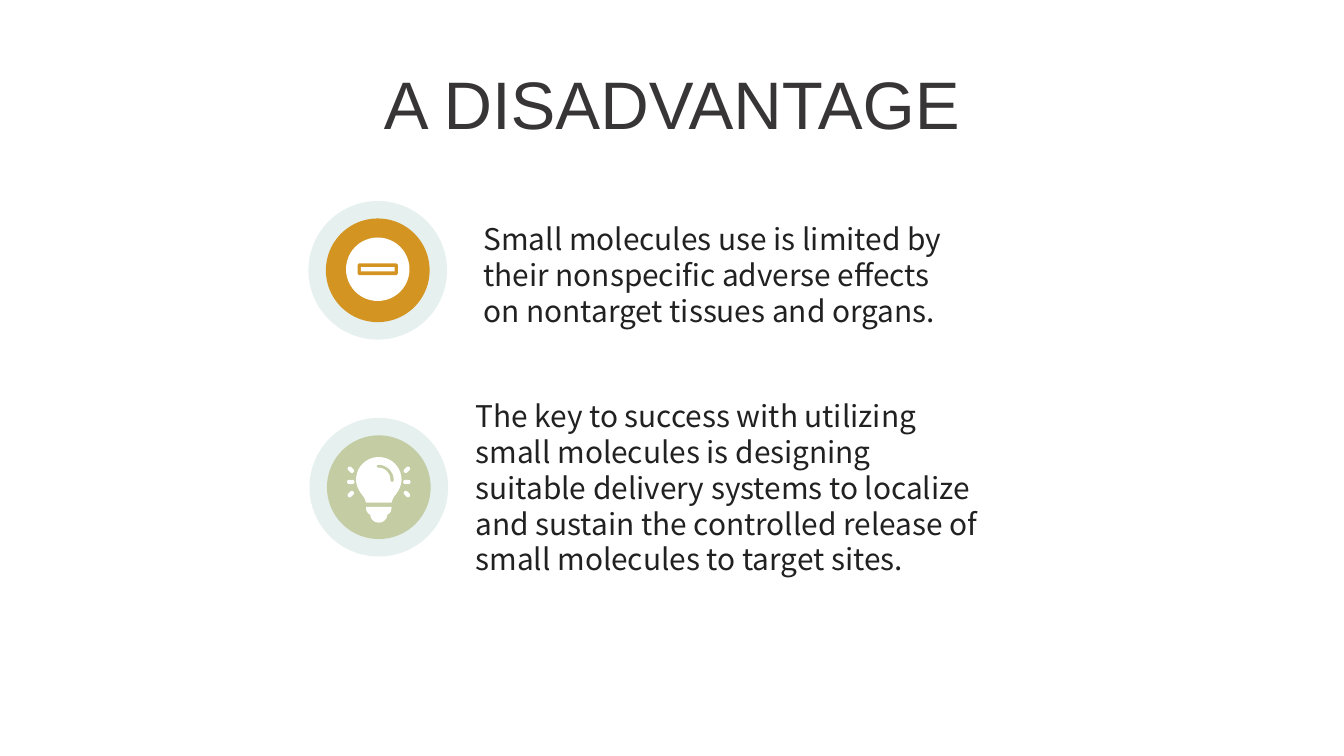
from dataclasses import dataclass

import pptx
import pptx.dml.color
import pptx.enum.shapes
import pptx.enum.text
import pptx.util

Cm = pptx.util.Cm
Pt = pptx.util.Pt
RGBColor = pptx.dml.color.RGBColor
Kind = pptx.enum.shapes.MSO_SHAPE
Align = pptx.enum.text.PP_ALIGN
Anchor = pptx.enum.text.MSO_ANCHOR

WHITE = RGBColor(0xFF, 0xFF, 0xFF)
MIST = RGBColor(0xE6, 0xF0, 0xEF)
AMBER = RGBColor(0xD4, 0x94, 0x21)
SAGE = RGBColor(0xC3, 0xCC, 0xA2)
SLATE = RGBColor(0x38, 0x35, 0x36)
INK = RGBColor(0x21, 0x21, 0x21)

# Outlines in cm from the icon centre; each curve is two handles and an end
BULB = [((.24, -.57), (.43, -.38), (.43, -.14)),
        ((.43, -.04), (.38, .06), (.32, .14)),
        ((.27, .19), (.26, .24), (.24, .29))]
BASE = [((.24, .45), (.21, .5), (.16, .52)),
        ((.16, .6), (.09, .67), (0, .67))]
GLINT = [((.15, -.42), (.28, -.29), (.28, -.14)),
         ((.28, -.09), (.22, -.09), (.22, -.14)),
         ((.22, -.27), (.12, -.37), (0, -.37)),
         ((-.05, -.37), (-.05, -.42), (0, -.42))]


@dataclass
class Badge:
    x: float
    y: float
    color: RGBColor


@dataclass
class Note:
    left: float
    top: float
    width: float
    height: float
    text: str


BADGES = [Badge(7.14, 5.11, AMBER), Badge(7.16, 9.21, SAGE)]
NOTES = [
    Note(8.89, 3.99, 9.6, 2.31,
         "Small molecules use is limited by their nonspecific adverse effects "
         "on nontarget tissues and organs."),
    Note(8.74, 7.34, 10.11, 3.68,
         "The key to success with utilizing small molecules is designing "
         "suitable delivery systems to localize and sustain the controlled "
         "release of small molecules to target sites."),
]


def write(frame, text: str, *, font: str, size: float, color: RGBColor,
          align=Align.LEFT, line=None, top: float = 0.18, base: float = 0.13) -> None:
    frame.word_wrap = True
    frame.auto_size = pptx.enum.text.MSO_AUTO_SIZE.NONE
    frame.vertical_anchor = Anchor.TOP
    frame.margin_left = frame.margin_right = Cm(0.25)
    frame.margin_top, frame.margin_bottom = Cm(top), Cm(base)
    para = frame.paragraphs[0]
    para.alignment = align
    if line:
        para.line_spacing = line
    run = para.add_run()
    run.text = text
    run.font.name, run.font.size = font, Pt(size)
    run.font.color.rgb = color


def paint(shape, color: RGBColor) -> None:
    shape.shadow.inherit = False
    shape.fill.solid()
    shape.fill.fore_color.rgb = color
    shape.line.fill.background()


def place(slide, kind, x: float, y: float, width: float, height: float,
          color: RGBColor, turn: float = 0):
    """Draw a preset shape around its centre."""
    shape = slide.shapes.add_shape(kind, Cm(x - width / 2), Cm(y - height / 2),
                                   Cm(width), Cm(height))
    shape.rotation = turn
    paint(shape, color)
    return shape


def trace(start: tuple, curves: list, steps: int = 10) -> list:
    """Turn a chain of cubic curves into points."""
    points = [start]
    for one, two, end in curves:
        first = points[-1]
        for step in range(1, steps + 1):
            t = step / steps
            s = 1 - t
            points.append(tuple(
                s**3 * a + 3 * s * s * t * b + 3 * s * t * t * c + t**3 * d
                for a, b, c, d in zip(first, one, two, end)))
    return points


def mirror(half: list) -> list:
    return half + [(-x, y) for x, y in reversed(half)]


def outline(slide, badge: Badge, points: list, color: RGBColor) -> None:
    spots = [(Cm(badge.x + x), Cm(badge.y + y)) for x, y in points]
    path = slide.shapes.build_freeform(*spots[0])
    path.add_line_segments(spots[1:], close=True)
    paint(path.convert_to_shape(), color)


def minus(slide, badge: Badge) -> None:
    y = badge.y - 0.02
    place(slide, Kind.OVAL, badge.x, y, 1.2, 1.2, WHITE)
    place(slide, Kind.ROUNDED_RECTANGLE, badge.x, y, 0.76, 0.22, badge.color)
    place(slide, Kind.RECTANGLE, badge.x, y, 0.64, 0.08, WHITE)


def lamp(slide, badge: Badge) -> None:
    outline(slide, badge, mirror(trace((0, -.57), BULB)), WHITE)
    outline(slide, badge, trace((0, -.42), GLINT), badge.color)
    outline(slide, badge, mirror([(.24, .37)] + trace((.24, .39), BASE)), WHITE)
    # Three rays on each side
    for side in (-1, 1):
        for row in (-1, 0, 1):
            ray = place(slide, Kind.ROUNDED_RECTANGLE, badge.x + side * 0.53,
                        badge.y - 0.1 + row * 0.23, 0.14, 0.08, WHITE,
                        turn=side * row * 45)
            ray.adjustments[0] = 0.5


def main() -> None:
    deck = pptx.Presentation()
    deck.slide_width, deck.slide_height = Cm(25.4), Cm(14.29)
    slide = deck.slides.add_slide(deck.slide_layouts[5])

    # Title
    title = slide.shapes.title
    title.left, title.top = Cm(6.73), Cm(0.79)
    title.width, title.height = Cm(11.94), Cm(1.75)
    write(title.text_frame, "A DISADVANTAGE", font="Arial", size=36,
          color=SLATE, align=Align.CENTER, top=0.38, base=0)

    # Badges with their icons
    for badge, icon in zip(BADGES, (minus, lamp)):
        place(slide, Kind.OVAL, badge.x, badge.y, 2.62, 2.62, MIST)
        place(slide, Kind.OVAL, badge.x, badge.y, 1.96, 1.96, badge.color)
        icon(slide, badge)

    # Notes
    for note in NOTES:
        box = slide.shapes.add_textbox(Cm(note.left), Cm(note.top),
                                       Cm(note.width), Cm(note.height))
        write(box.text_frame, note.text, font="Noto Sans CJK JP", size=16,
              color=INK, line=Pt(19.2))

    deck.save("out.pptx")


if __name__ == "__main__":
    main()
